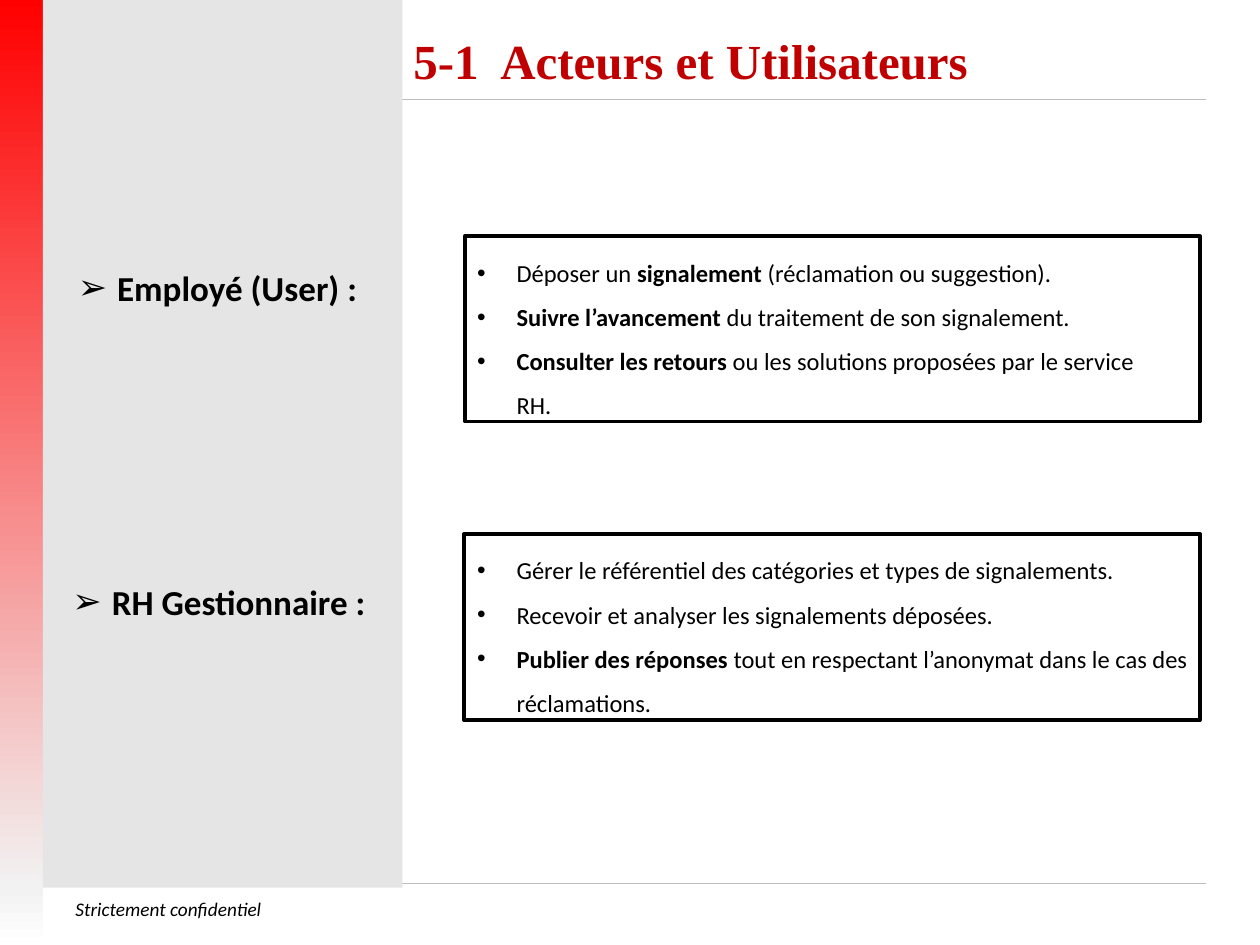
"""Build the slide on actors and users of the reporting application."""
from copy import deepcopy

from lxml.etree import SubElement
from pptx import Presentation
from pptx.dml.color import RGBColor
from pptx.enum.shapes import MSO_CONNECTOR as Connector, MSO_SHAPE as Shape
from pptx.enum.text import MSO_AUTO_SIZE as AutoSize
from pptx.oxml.ns import qn
from pptx.util import Pt

PAGE_WIDTH, PAGE_HEIGHT = 720, 540
INDENT = 22.5
RULES = {"x": (42.5, 689), "y": (56.9, 504.7), "color": "BEBEBE", "width": 0.6}
BAND_WIDTH = 24.5
BAND_STOPS = [(0, "FF0000"), (0.94, "F2F2F2"), (1, "FFFFFF")]
PANEL = {"box": (BAND_WIDTH, 0, 205.5, 507.2), "color": "E5E5E5"}

FOOTER = "Strictement confidentiel"
TITLE = "5-1  Acteurs et Utilisateurs"
FOOTER_FONT = {"name": "Calibri", "size": Pt(11), "italic": True}
TITLE_FONT = {"name": "Times New Roman", "size": Pt(28), "bold": True}
ACTOR_FONT = {"name": "Calibri", "size": Pt(20), "bold": True}
TASK_FONT = {"name": "Calibri", "size": Pt(14), "bold": False}
STRONG_FONT = {**TASK_FONT, "bold": True}

ACTORS = [
    {
        "name": "Employé (User) :",
        "name_box": (37.4, 148.5, 177, 31.5),
        "tasks_box": (265.6, 135.4, 412, 106.6),
        "frame": (265.7, 134.9, 420, 106),
        "tasks": [
            [("Déposer un ", TASK_FONT), ("signalement", STRONG_FONT),
             (" (réclamation ou suggestion).", TASK_FONT)],
            [("Suivre l’avancement", STRONG_FONT),
             (" du traitement de son signalement.", TASK_FONT)],
            [("Consulter les retours", STRONG_FONT),
             (" ou les solutions proposées par le service RH.", TASK_FONT)],
        ],
    },
    {
        "name": "RH Gestionnaire :",
        "name_box": (34.3, 327.9, 195, 31.5),
        "tasks_box": (265.6, 305.5, 449.3, 106.6),
        "frame": (265.2, 305, 420.5, 106.5),
        "tasks": [
            [("Gérer le référentiel des catégories et types de signalements.", TASK_FONT)],
            [("Recevoir et analyser les signalements déposées.", TASK_FONT)],
            [("Publier des réponses", STRONG_FONT),
             (" tout en respectant l’anonymat dans le cas des réclamations.", TASK_FONT)],
        ],
    },
]


def rgb(color):
    return RGBColor.from_string(color)


def add_rule(slide, y):
    left, right = RULES["x"]
    rule = slide.shapes.add_connector(Connector.STRAIGHT, Pt(left), Pt(y), Pt(right), Pt(y))
    rule.line.color.rgb = rgb(RULES["color"])
    rule.line.width = Pt(RULES["width"])
    SubElement(rule._element.spPr, qn("a:effectLst"))


def add_rectangle(slide, box):
    rectangle = slide.shapes.add_shape(Shape.RECTANGLE, *map(Pt, box))
    rectangle.shadow.inherit = False
    return rectangle


def add_band(slide):
    band = add_rectangle(slide, (0, 0, BAND_WIDTH, PAGE_HEIGHT))
    band.line.fill.background()
    band.fill.gradient()
    band.fill.gradient_angle = 270
    stop_list = band._element.spPr.find(".//" + qn("a:gsLst"))
    stop_list.append(deepcopy(stop_list[-1]))
    for stop, (position, color) in zip(band.fill.gradient_stops, BAND_STOPS):
        stop.position = position
        stop.color.rgb = rgb(color)


def add_panel(slide):
    panel = add_rectangle(slide, PANEL["box"])
    panel.fill.solid()
    panel.fill.fore_color.rgb = rgb(PANEL["color"])
    panel.line.fill.background()


def add_frame(slide, box):
    frame = add_rectangle(slide, box)
    frame.fill.background()
    frame.line.color.rgb = rgb("000000")
    frame.line.width = Pt(2)


def add_bullet(paragraph, symbol):
    properties = paragraph._p.get_or_add_pPr()
    properties.set("marL", str(Pt(INDENT)))
    properties.set("indent", str(-Pt(INDENT)))
    SubElement(properties, qn("a:buFont")).set("typeface", "Arial")
    SubElement(properties, qn("a:buChar")).set("char", symbol)


def add_text(slide, box, lines, color="000000", bullet=None, spacing=None, inset=None):
    text = slide.shapes.add_textbox(*map(Pt, box)).text_frame
    text.word_wrap = True
    text.auto_size = AutoSize.NONE
    if inset is not None:
        for side in ("left", "top", "right", "bottom"):
            setattr(text, f"margin_{side}", Pt(inset))
    for index, line in enumerate(lines):
        paragraph = text.add_paragraph() if index else text.paragraphs[0]
        if spacing:
            paragraph.line_spacing = spacing
        if bullet:
            add_bullet(paragraph, bullet)
        for words, style in line:
            run = paragraph.add_run()
            run.text = words
            run.font.color.rgb = rgb(color)
            for attribute, value in style.items():
                setattr(run.font, attribute, value)


def main():
    deck = Presentation()
    deck.slide_width, deck.slide_height = Pt(PAGE_WIDTH), Pt(PAGE_HEIGHT)
    slide = deck.slides.add_slide(deck.slide_layouts[6])
    for y in RULES["y"]:
        add_rule(slide, y)
    add_band(slide)
    add_text(slide, (36, 509, 130.3, 28.8), [[(FOOTER, FOOTER_FONT)]])
    add_panel(slide)
    add_text(slide, (236.2, 13, 440.6, 35.3), [[(TITLE, TITLE_FONT)]],
             color="C00000", spacing=Pt(37.8), inset=0)
    for actor in ACTORS:
        add_text(slide, actor["name_box"], [[(actor["name"], ACTOR_FONT)]], bullet="➢")
        add_text(slide, actor["tasks_box"], actor["tasks"], bullet="•", spacing=1.5)
        add_frame(slide, actor["frame"])
    deck.save("out.pptx")


if __name__ == "__main__":
    main()
